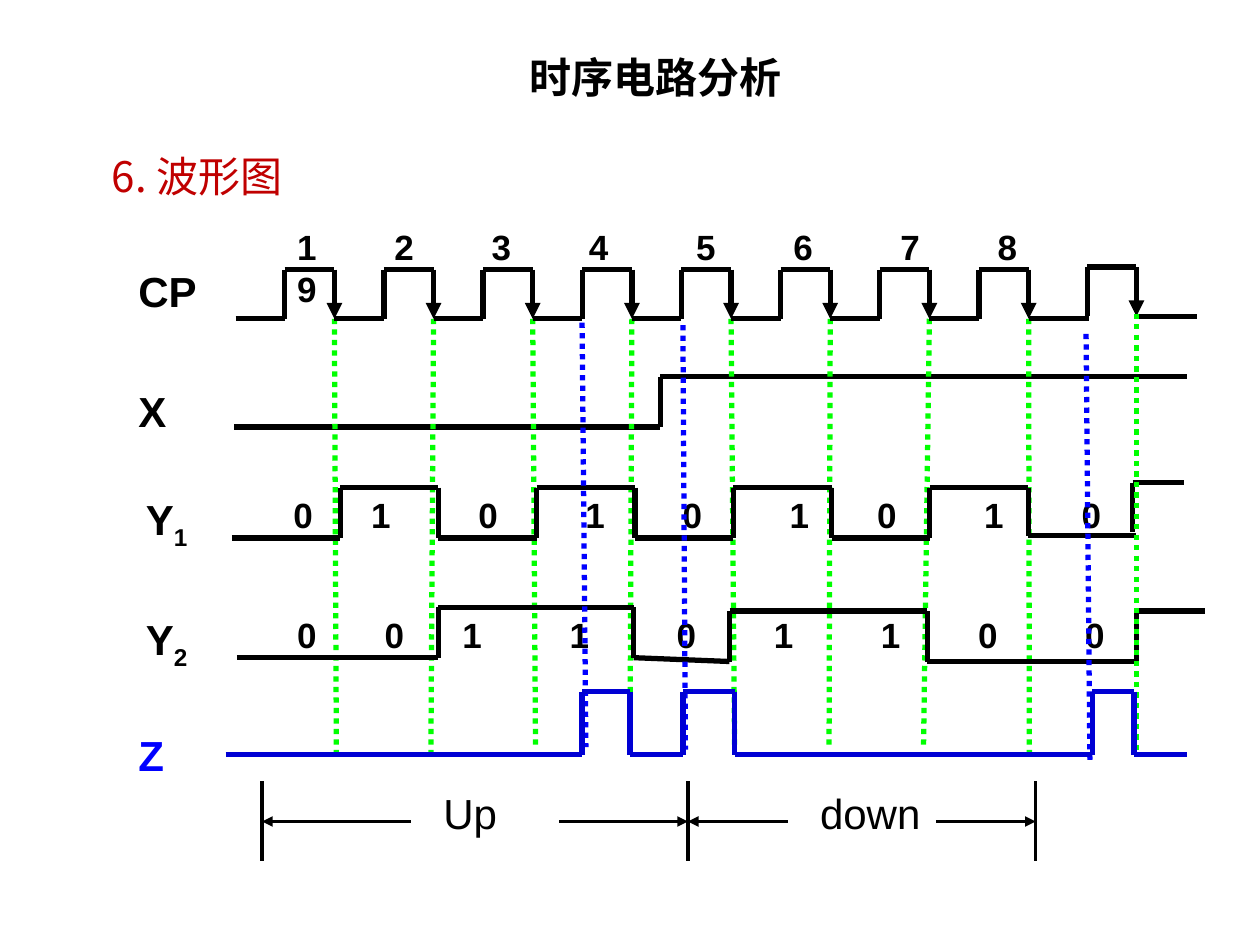
from itertools import accumulate, pairwise

from lxml import etree
from pptx import Presentation
from pptx import util as u
from pptx.dml import color as c
from pptx.enum import dml, shapes, text
from pptx.oxml import ns

BLACK, GREEN, BLUE, NAVY, RED = "000000", "00FF00", "0000FF", "0000D4", "C00000"


def rgb(value):
    return c.RGBColor.from_string(value)


def grid(cells):
    return u.Inches(round(cells / 10, 3))


class TimingSlide:
    """Draws waveforms and labels on a slide grid of 100 columns by 75 rows."""

    font = {"name": "Arial", "size": u.Pt(24), "bold": True}
    space = u.Pt(20) * 0.278

    def __init__(self, presentation):
        self.slide = presentation.slides.add_slide(presentation.slide_layouts[6])

    def line(self, start, end, color=BLACK, width=3, dotted=False, arrow=False):
        connector = self.slide.shapes.add_connector(
            shapes.MSO_CONNECTOR.STRAIGHT, *map(grid, (*start, *end)))
        connector.line.width = u.Pt(width)
        connector.line.color.rgb = rgb(color)
        if dotted:
            connector.line.dash_style = dml.MSO_LINE.ROUND_DOT
        if arrow:
            tail = etree.SubElement(connector.line._get_or_add_ln(), ns.qn("a:tailEnd"))
            tail.set("type", "triangle")
        etree.SubElement(connector._element.spPr, ns.qn("a:effectLst"))

    def trace(self, points, color=BLACK, clocked=False):
        for start, end in pairwise(points):
            self.line(start, end, color, arrow=clocked and end[1] > start[1])

    def square(self, edges, low, high, color=BLACK, clocked=False):
        points = []
        for index, (left, right) in enumerate(pairwise(edges)):
            level = high if index % 2 else low
            points += [(left, level), (right, level)]
        self.trace(points, color, clocked)

    def label(self, words, left, top, width, height=5, color=BLACK, subscript="",
              align=text.PP_ALIGN.LEFT, anchor=text.MSO_ANCHOR.TOP,
              fit=text.MSO_AUTO_SIZE.SHAPE_TO_FIT_TEXT, **font):
        shape = self.slide.shapes.add_textbox(*map(grid, (left, top, width, height)))
        frame = shape.text_frame
        for name, value in {"word_wrap": True, "auto_size": fit,
                            "vertical_anchor": anchor}.items():
            setattr(frame, name, value)
        paragraph = frame.paragraphs[0]
        paragraph.text = words
        paragraph.alignment = align
        if subscript:
            run = paragraph.add_run()
            run.text = subscript
            run._r.get_or_add_rPr().set("baseline", "-25000")
        for run in paragraph.runs:
            for name, value in {**self.font, **font}.items():
                setattr(run.font, name, value)
            run.font.color.rgb = rgb(color)
            east_asian = etree.SubElement(run._r.get_or_add_rPr(), ns.qn("a:ea"))
            east_asian.set("typeface", run.font.name)
        return paragraph

    def digits(self, words, gaps, left, top, width):
        paragraph = self.label(words, left, top, width, 4.4, size=u.Pt(20))
        stops = etree.SubElement(paragraph._p.get_or_add_pPr(), ns.qn("a:tabLst"))
        for position in accumulate((gap + 2) * self.space for gap in gaps):
            stop = etree.SubElement(stops, ns.qn("a:tab"))
            stop.set("pos", str(round(position)))
            stop.set("algn", "l")


presentation = Presentation()
presentation.slide_width, presentation.slide_height = grid(100), grid(75)
sheet = TimingSlide(presentation)

sheet.label("时序电路分析", 19.3, 3.6, 65.4, align=text.PP_ALIGN.CENTER)
heading = sheet.label("6. 波形图", 7.9, 10, 36.2, 7.9, RED, name="Noto Sans CJK SC",
                      bold=False, anchor=text.MSO_ANCHOR.MIDDLE,
                      fit=text.MSO_AUTO_SIZE.NONE)
for name, value in {"marL": 0.38, "indent": -0.38}.items():
    heading._p.get_or_add_pPr().set(name, str(u.Inches(value)))

sheet.square([18.6, 52.4, 94.2], 33.9, 29.9)

half = 55.1 / 14
clock_edges = [22.6 + half * index for index in range(16)]
guide_ends = [(26.7, 59.9), (34.2, 59.9), (42.5, 59.1), (50, 59.1),
              (58.3, 59.1), (65.8, 59.1), (73.3, 59.1), (81.7, 59.9)]
for fall, end in zip(clock_edges[1::2], guide_ends):
    sheet.line((fall, 25.3), end, GREEN, dotted=True)

sheet.square([18.7, *clock_edges, 86.4], 25.3, 21.4, clocked=True)
sheet.trace([(86.3, 25.1), (86.3, 21.2), (90.2, 21.2), (90.2, 25.1), (95, 25.1)],
            clocked=True)

sheet.square([18.4] + [27 + 7.8 * index for index in range(8)], 42.7, 38.7)
sheet.trace([(81.6, 38.7), (81.6, 42.5), (90.2, 42.5)])
sheet.trace([(89.9, 42.2), (89.9, 38.3), (94, 38.3)])

sheet.trace([(18.8, 52.2), (34.8, 52.2), (34.8, 48.2), (50.3, 48.2), (50.3, 52.2),
             (57.9, 52.5), (57.9, 48.5), (73.6, 48.5), (73.6, 52.5), (90.2, 52.5),
             (90.2, 48.5), (95.6, 48.5)])

sheet.digits("1\t2\t3\t4\t5\t6\t7\t8\v9", (8, 8, 8, 9, 8, 9, 8), 22.6, 17.4, 67.4)
sheet.digits("\t".join("010101010"), (6, 9, 9, 8, 9, 7, 9, 8), 22.3, 38.7, 74.1)
sheet.digits("\t".join("001101100"), (7, 6, 9, 9, 8, 9, 8, 9), 22.6, 48.2, 66.4)

for name, subscript, left, top, color in [
        ("CP", "", 10, 20.6, BLACK), ("X", "", 10, 30.1, BLACK),
        ("Y", "1", 10.6, 38.7, BLACK), ("Y", "2", 10.6, 48.2, BLACK),
        ("Z", "", 10, 57.4, BLUE)]:
    sheet.label(name, left, top, 9.4, color=color, subscript=subscript)

for start, end, color in [((90.2, 24.9), (90.2, 59.5), GREEN),
                          ((46.2, 25.6), (46.5, 59.3), BLUE),
                          ((54.2, 25.8), (54.4, 59.5), BLUE),
                          ((86.2, 26.5), (86.5, 60.3), BLUE)]:
    sheet.line(start, end, color, dotted=True)

sheet.square([17.9, 46.2, 50, 54.2, 58.3, 86.7, 90, 94.2], 59.9, 54.9, NAVY)

for column in (20.8, 54.6, 82.2):
    sheet.line((column, 62), (column, 68.3), width=2)
for words, left, right, label_left in [("Up", 20.8, 54.6, 34.2),
                                       ("down", 54.6, 82.2, 64.1)]:
    sheet.label(words, label_left, 62, 10.2, bold=False)
    for start, end in [(label_left - 1.6, left), (label_left + 10.2, right)]:
        sheet.line((start, 65.2), (end, 65.2), width=2, arrow=True)

presentation.save("out.pptx")
